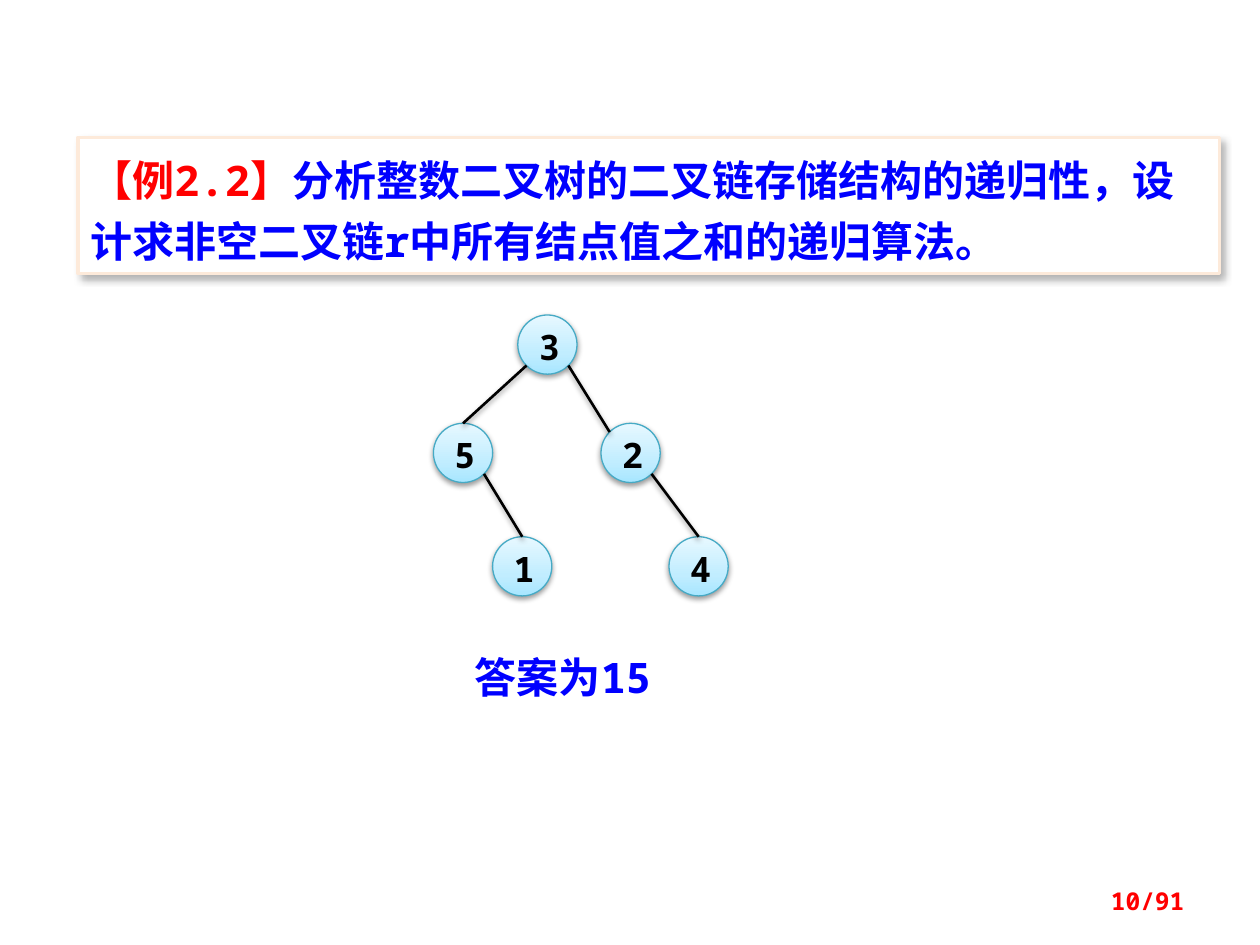
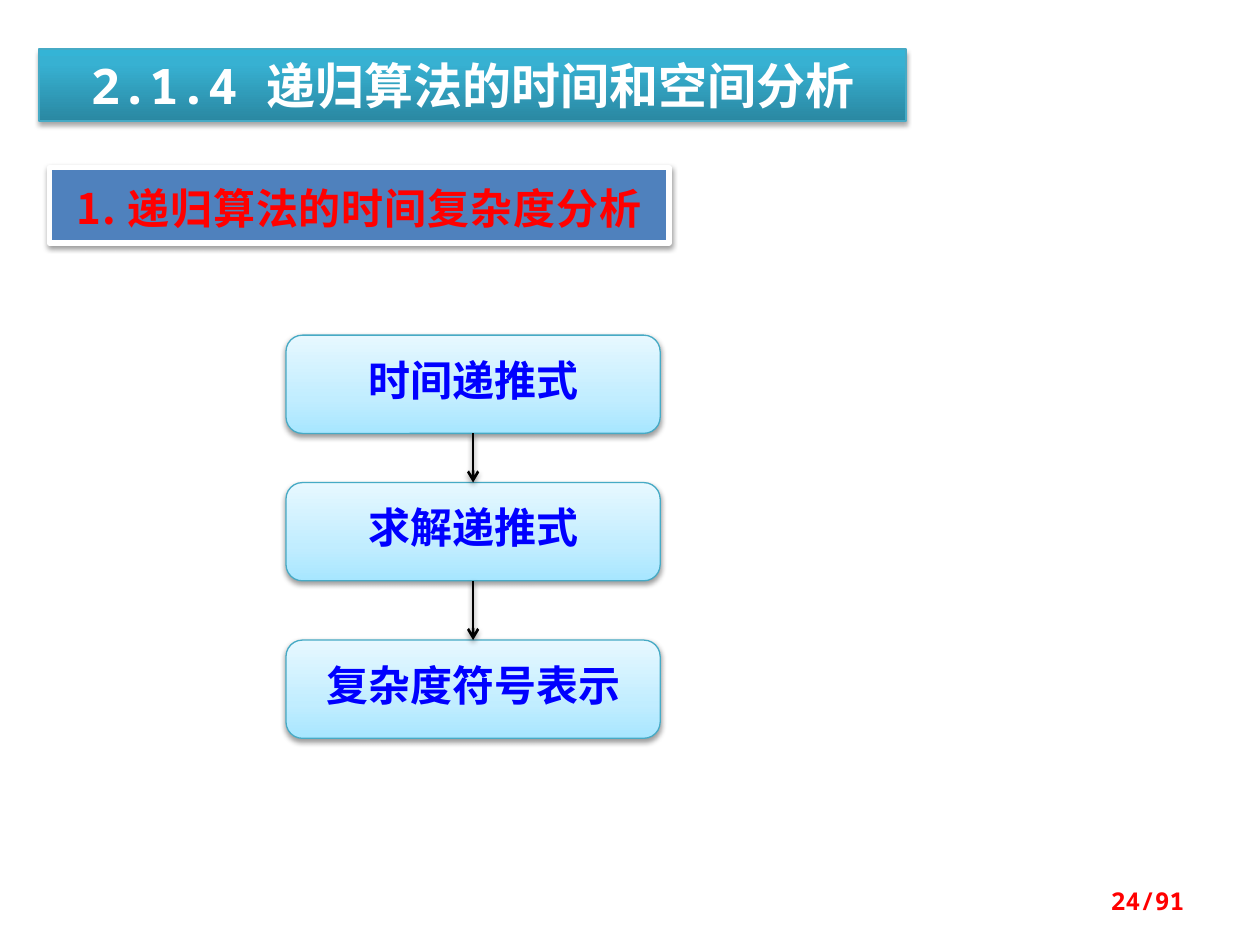
from copy import deepcopy
from math import sqrt

from lxml.etree import SubElement
from pptx import Presentation
from pptx.dml.color import RGBColor
from pptx.enum.shapes import MSO_CONNECTOR, MSO_SHAPE
from pptx.enum.text import MSO_ANCHOR, PP_ALIGN
from pptx.oxml.ns import qn
from pptx.util import Inches, Pt

BLACK = RGBColor(0x00, 0x00, 0x00)
WHITE = RGBColor(0xFF, 0xFF, 0xFF)
RED = RGBColor(0xFF, 0x00, 0x00)
BLUE = RGBColor(0x00, 0x00, 0xFF)
PEACH = RGBColor(0xFD, 0xEA, 0xDA)
STEEL = RGBColor(0x4F, 0x81, 0xBD)
TEAL = RGBColor(0x46, 0xAA, 0xC5)
SKY_STOPS = [
    (0, RGBColor(0xA7, 0xE6, 0xFF)),
    (0.35, RGBColor(0xC1, 0xED, 0xFF)),
    (1, RGBColor(0xE7, 0xF8, 0xFF)),
]
TITLE_STOPS = [
    (0, RGBColor(0x2A, 0x88, 0xA2)),
    (0.8, RGBColor(0x37, 0xB1, 0xD2)),
    (1, RGBColor(0x34, 0xB4, 0xD6)),
]

MONO = "Noto Sans Mono"
CJK = "Noto Sans CJK SC"
SOFT_SHADOW = (38, 3.1, 1.6, 90)
TITLE_SHADOW = (35, 3.1, 1.8, 90)
CARD_SHADOW = (30, 4.5, 2.6, 53)

EXAMPLE = [
    ("【例2.2】", RED),
    ("分析整数二叉树的二叉链存储结构的递归性，设计求非空二叉链r中所有结点值之和的递归算法。", BLUE),
]
NODE_SIZE = 0.47
NODES = {
    "3": (4.11, 2.5),
    "4": (5.31, 4.26),
    "1": (3.91, 4.26),
    "2": (4.77, 3.36),
    "5": (3.44, 3.36),
}
DIAGONAL = sqrt(0.5)
TOP = (0, -1)
TOP_LEFT = (-DIAGONAL, -DIAGONAL)
LOWER_LEFT = (-DIAGONAL, DIAGONAL)
LOWER_RIGHT = (DIAGONAL, DIAGONAL)
EDGES = [
    ("3", LOWER_LEFT, "5", TOP),
    ("5", LOWER_RIGHT, "1", TOP),
    ("3", LOWER_RIGHT, "2", TOP_LEFT),
    ("2", LOWER_RIGHT, "4", TOP),
]
ANSWER = "答案为15"

SECTION = "2.1.4 递归算法的时间和空间分析"
TOPIC = "1. 递归算法的时间复杂度分析"
STEP_LEFT, STEP_WIDTH, STEP_HEIGHT = 2.27, 2.97, 0.78
STEPS = [("时间递推式", 2.66), ("求解递推式", 3.83), ("复杂度符号表示", 5.08)]


def add_shadow(item, shadow):
    alpha, blur, distance, angle = shadow
    properties = item._element.spPr
    for old in properties.findall(qn("a:effectLst")):
        properties.remove(old)
    effects = SubElement(properties, qn("a:effectLst"))
    outer = SubElement(
        effects, qn("a:outerShdw"), blurRad=str(int(Pt(blur))), dist=str(int(Pt(distance))),
        dir=str(angle * 60000), algn="ctr", rotWithShape="0",
    )
    color = SubElement(outer, qn("a:srgbClr"), val=str(BLACK))
    SubElement(color, qn("a:alpha"), val=str(alpha * 1000))


def paint(fill, stops):
    fill.gradient()
    fill.gradient_angle = 90
    first = fill.gradient_stops[0]._gs
    first.addnext(deepcopy(first))
    for stop, (position, color) in zip(fill.gradient_stops, stops):
        stop.position = position
        stop.color.rgb = color


def write(box, spans, size, align=PP_ALIGN.LEFT, anchor=MSO_ANCHOR.TOP,
          spacing=None, font=MONO):
    frame = box.text_frame
    frame.word_wrap = True
    frame.vertical_anchor = anchor
    paragraph = frame.paragraphs[0]
    paragraph.alignment = align
    paragraph.line_spacing = spacing
    for text, color in spans:
        span = paragraph.add_run()
        span.text = text
        span.font.size = Pt(size)
        span.font.bold = True
        span.font.color.rgb = color
        span.font.name = font
        SubElement(span.font._element, qn("a:ea"), typeface=CJK)
    return paragraph


def add_box(page, kind, place, fill, line, width, shadow):
    box = page.shapes.add_shape(kind, *map(Inches, place))
    if isinstance(fill, list):
        paint(box.fill, fill)
    else:
        box.fill.solid()
        box.fill.fore_color.rgb = fill
    box.line.color.rgb = line
    box.line.width = Pt(width)
    add_shadow(box, shadow)
    return box


def add_sky_box(page, kind, place):
    return add_box(page, kind, place, SKY_STOPS, TEAL, 0.75, SOFT_SHADOW)


def add_line(page, start, end, arrow=False):
    line = page.shapes.add_connector(MSO_CONNECTOR.STRAIGHT, *map(Inches, start + end))
    line.line.color.rgb = BLACK
    line.line.width = Pt(1.5)
    if arrow:
        SubElement(line.line._get_or_add_ln(), qn("a:tailEnd"), type="arrow")
    add_shadow(line, SOFT_SHADOW)


def add_text(page, place, *content, **style):
    write(page.shapes.add_textbox(*map(Inches, place)), *content, **style)


def add_page(deck, number):
    page = deck.slides.add_slide(deck.slide_layouts[6])
    add_text(page, (7.17, 6.95, 2.33, 0.4), [(f"{number}/91", RED)], 14,
             align=PP_ALIGN.RIGHT, anchor=MSO_ANCHOR.MIDDLE)
    return page


def node_point(name, direction):
    return tuple(
        corner + NODE_SIZE / 2 * (1 + offset)
        for corner, offset in zip(NODES[name], direction)
    )


def build_tree_page(deck):
    page = add_page(deck, 10)
    card = add_box(page, MSO_SHAPE.RECTANGLE, (0.62, 1.09, 9.06, 1.08),
                   WHITE, PEACH, 2, CARD_SHADOW)
    write(card, EXAMPLE, 24, spacing=Pt(35))
    for name, corner in NODES.items():
        node = add_sky_box(page, MSO_SHAPE.OVAL, corner + (NODE_SIZE, NODE_SIZE))
        write(node, [(name, BLACK)], 20, PP_ALIGN.CENTER, MSO_ANCHOR.MIDDLE, Pt(26))
    for parent, leave, child, enter in EDGES:
        add_line(page, node_point(parent, leave), node_point(child, enter))
    add_text(page, (3.67, 5.12, 1.8, 0.5), [(ANSWER, BLUE)], 24)


def build_steps_page(deck):
    page = add_page(deck, 24)
    title = add_box(page, MSO_SHAPE.RECTANGLE, (0.31, 0.39, 6.88, 0.57),
                    TITLE_STOPS, TEAL, 0.75, TITLE_SHADOW)
    write(title, [(SECTION, WHITE)], 28, PP_ALIGN.CENTER)
    topic = add_box(page, MSO_SHAPE.RECTANGLE, (0.39, 1.33, 4.92, 0.6),
                    STEEL, WHITE, 3, SOFT_SHADOW)
    paragraph = write(topic, [(TOPIC, RED)], 24, PP_ALIGN.CENTER, font=CJK)
    paragraph.runs[0].font._element.set("spc", "50")
    topic.text_frame.margin_top = Inches(0.12)
    topic.text_frame.margin_bottom = Inches(0.08)
    for text, top in STEPS:
        step = add_sky_box(page, MSO_SHAPE.ROUNDED_RECTANGLE,
                           (STEP_LEFT, top, STEP_WIDTH, STEP_HEIGHT))
        write(step, [(text, BLUE)], 24, PP_ALIGN.CENTER, MSO_ANCHOR.MIDDLE, 0.8)
    middle = STEP_LEFT + STEP_WIDTH / 2
    for (_, upper), (_, lower) in zip(STEPS, STEPS[1:]):
        add_line(page, (middle, upper + STEP_HEIGHT), (middle, lower), arrow=True)


def main():
    deck = Presentation()
    deck.slide_width, deck.slide_height = Inches(10), Inches(7.5)
    build_tree_page(deck)
    build_steps_page(deck)
    deck.save("out.pptx")


if __name__ == "__main__":
    main()
